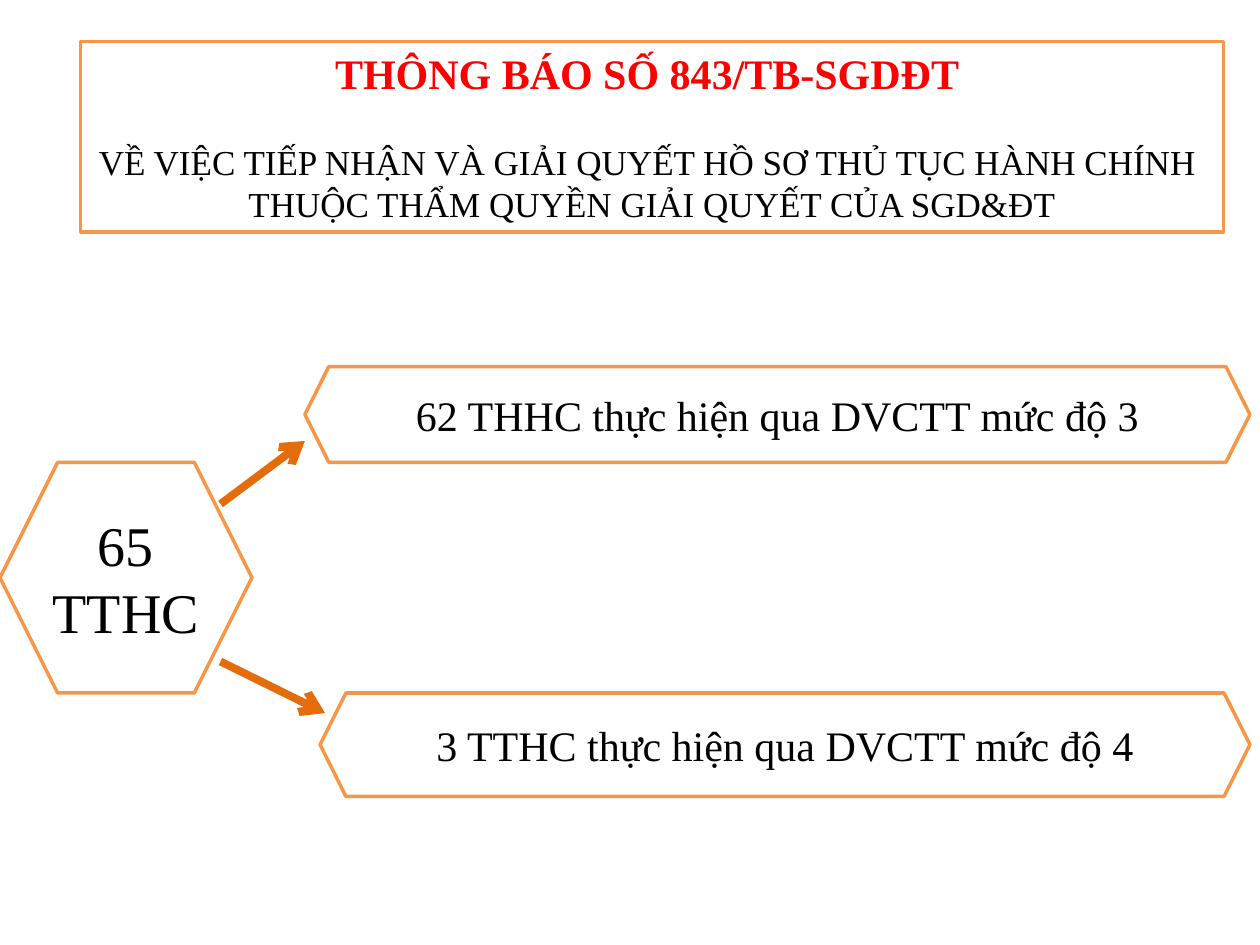
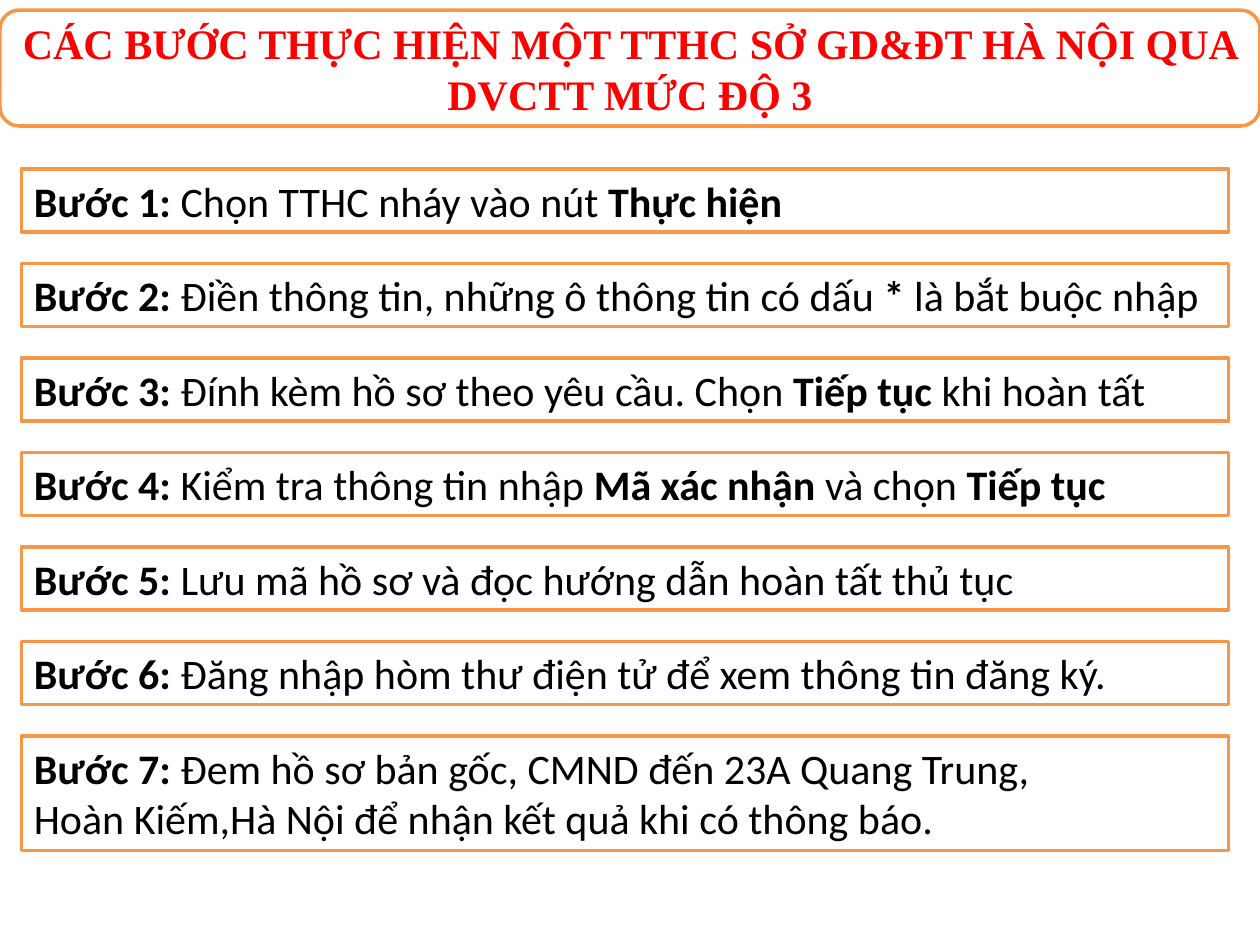
from pptx import Presentation
from pptx.dml.color import RGBColor
from pptx.enum.shapes import MSO_CONNECTOR, MSO_SHAPE
from pptx.enum.text import MSO_ANCHOR, MSO_AUTO_SIZE, PP_ALIGN
from pptx.oxml.ns import qn
from pptx.util import Inches, Pt
from lxml import etree

WHITE = RGBColor(0xFF, 0xFF, 0xFF)
BLACK = RGBColor(0x00, 0x00, 0x00)
RED = RGBColor(0xFF, 0x00, 0x00)
ORANGE = RGBColor(0xF7, 0x96, 0x46)
DARK_ORANGE = RGBColor(0xE4, 0x6C, 0x0A)

SERIF, SANS = "Times New Roman", "Calibri"
RECT, ROUNDED, HEXAGON = MSO_SHAPE.RECTANGLE, MSO_SHAPE.ROUNDED_RECTANGLE, MSO_SHAPE.HEXAGON
STRAIGHT = MSO_CONNECTOR.STRAIGHT
LEFT, CENTER = PP_ALIGN.LEFT, PP_ALIGN.CENTER
TOP, MIDDLE = MSO_ANCHOR.TOP, MSO_ANCHOR.MIDDLE
GROW, FIXED = MSO_AUTO_SIZE.SHAPE_TO_FIT_TEXT, MSO_AUTO_SIZE.NONE

BODY = {"name": SERIF, "size": Pt(24), "bold": False}
TITLE = {**BODY, "bold": True}
SUBTITLE = {**BODY, "size": Pt(20)}
TOTAL = {**BODY, "size": Pt(32)}
STEP = {**BODY, "name": SANS}

# Pieces between bars alternate: bold, regular, bold, ...
STEPS = [
    ["Bước 1: |Chọn TTHC nháy vào nút |Thực hiện"],
    ["Bước 2: |Điền thông tin, những ô thông tin có dấu |*| là bắt buộc nhập"],
    ["Bước 3: |Đính kèm hồ sơ theo yêu cầu. Chọn |Tiếp tục |khi hoàn tất"],
    ["Bước 4: |Kiểm tra thông tin nhập| Mã xác nhận |và chọn |Tiếp tục"],
    ["Bước 5: |Lưu mã hồ sơ và đọc hướng dẫn hoàn tất thủ tục"],
    ["Bước 6: |Đăng nhập hòm thư điện tử để xem thông tin đăng ký."],
    ["Bước 7: |Đem hồ sơ bản gốc, CMND đến 23A Quang Trung,",
     "|Hoàn Kiếm,Hà Nội để nhận kết quả khi có thông báo."],
]


class Deck:
    """Holds the shared style and the slide being built."""

    def __init__(self, width, height):
        self.prs = Presentation()
        self.prs.slide_width, self.prs.slide_height = Inches(width), Inches(height)
        self.s = None

    def new_slide(self):
        self.s = self.prs.slides.add_slide(self.prs.slide_layouts[6])

    def box(self, kind, x, y, w, h, anchor=MIDDLE, auto_size=FIXED, wrap=True):
        """White shape with an orange outline; returns its text frame."""
        sp = self.s.shapes.add_shape(kind, *map(Inches, (x, y, w, h)))
        sp.shadow.inherit = False
        sp.fill.solid()
        sp.fill.fore_color.rgb = WHITE
        sp.line.color.rgb = ORANGE
        sp.line.width = Pt(2)
        tf = sp.text_frame
        tf.word_wrap, tf.auto_size, tf.vertical_anchor = wrap, auto_size, anchor
        return tf

    def paragraph(self, tf, pieces, align=CENTER, color=BLACK, before=0):
        """Fill the first empty paragraph, or add one, from (text, format) pieces."""
        p = tf.add_paragraph() if tf.text else tf.paragraphs[0]
        p.alignment = align
        if before:
            p.space_before = Pt(before)
        for text, style in pieces:
            r = p.add_run()
            r.text = text
            r.font.color.rgb = color
            for key, value in style.items():
                setattr(r.font, key, value)

    def label(self, kind, x, y, w, h, text, style=BODY, color=BLACK):
        tf = self.box(kind, x, y, w, h)
        self.paragraph(tf, [(text, style)], color=color)

    def step(self, x, y, w, h, lines):
        tf = self.box(RECT, x, y, w, h, anchor=TOP, auto_size=GROW)
        for line in lines:
            pieces = [(text, {**STEP, "bold": i % 2 == 0})
                      for i, text in enumerate(line.split("|")) if text]
            self.paragraph(tf, pieces, align=LEFT)

    def arrow(self, x1, y1, x2, y2):
        c = self.s.shapes.add_connector(STRAIGHT, *map(Inches, (x1, y1, x2, y2)))
        c.line.color.rgb = DARK_ORANGE
        c.line.width = Pt(4.5)
        etree.SubElement(c.line._get_or_add_ln(), qn("a:tailEnd"), type="arrow")
        etree.SubElement(c._element.spPr, qn("a:effectLst"))


def announcement(deck):
    deck.new_slide()

    # Heading
    tf = deck.box(RECT, 0.64, 0.33, 9.07, 1.51, anchor=TOP, auto_size=GROW, wrap=False)
    deck.paragraph(tf, [("THÔNG BÁO SỐ 843/TB-SGDĐT ", TITLE)], color=RED)
    deck.paragraph(tf, [("VỀ VIỆC TIẾP NHẬN VÀ GIẢI QUYẾT HỒ SƠ THỦ TỤC HÀNH CHÍNH ",
                         SUBTITLE)], before=24)
    deck.paragraph(tf, [("THUỘC THẨM QUYỀN GIẢI QUYẾT CỦA SGD&ĐT", SUBTITLE)])

    # Total and its two parts
    deck.label(HEXAGON, 0, 3.67, 2, 1.83, "65 TTHC", TOTAL)
    deck.label(HEXAGON, 2.42, 2.91, 7.5, 0.76, "62 THHC thực hiện qua DVCTT mức độ 3")
    deck.label(HEXAGON, 2.54, 5.5, 7.38, 0.82, "3 TTHC thực hiện qua DVCTT mức độ 4")
    deck.arrow(1.75, 4, 2.42, 3.5)
    deck.arrow(1.75, 5.25, 2.58, 5.66)


def procedure(deck):
    deck.new_slide()

    # Heading
    deck.label(ROUNDED, 0, 0.08, 10, 0.92,
               "CÁC BƯỚC THỰC HIỆN MỘT TTHC SỞ GD&ĐT HÀ NỘI QUA DVCTT MỨC ĐỘ 3",
               TITLE, RED)

    # Steps at an even pitch, taller for each extra line
    top, pitch, height, line_height = 1.34, 0.75, 0.5, 0.41
    for i, lines in enumerate(STEPS):
        deck.step(0.17, top + i * pitch, 9.58,
                  height + (len(lines) - 1) * line_height, lines)


def main():
    deck = Deck(10, 7.5)
    announcement(deck)
    procedure(deck)
    deck.prs.save("out.pptx")


if __name__ == "__main__":
    main()
